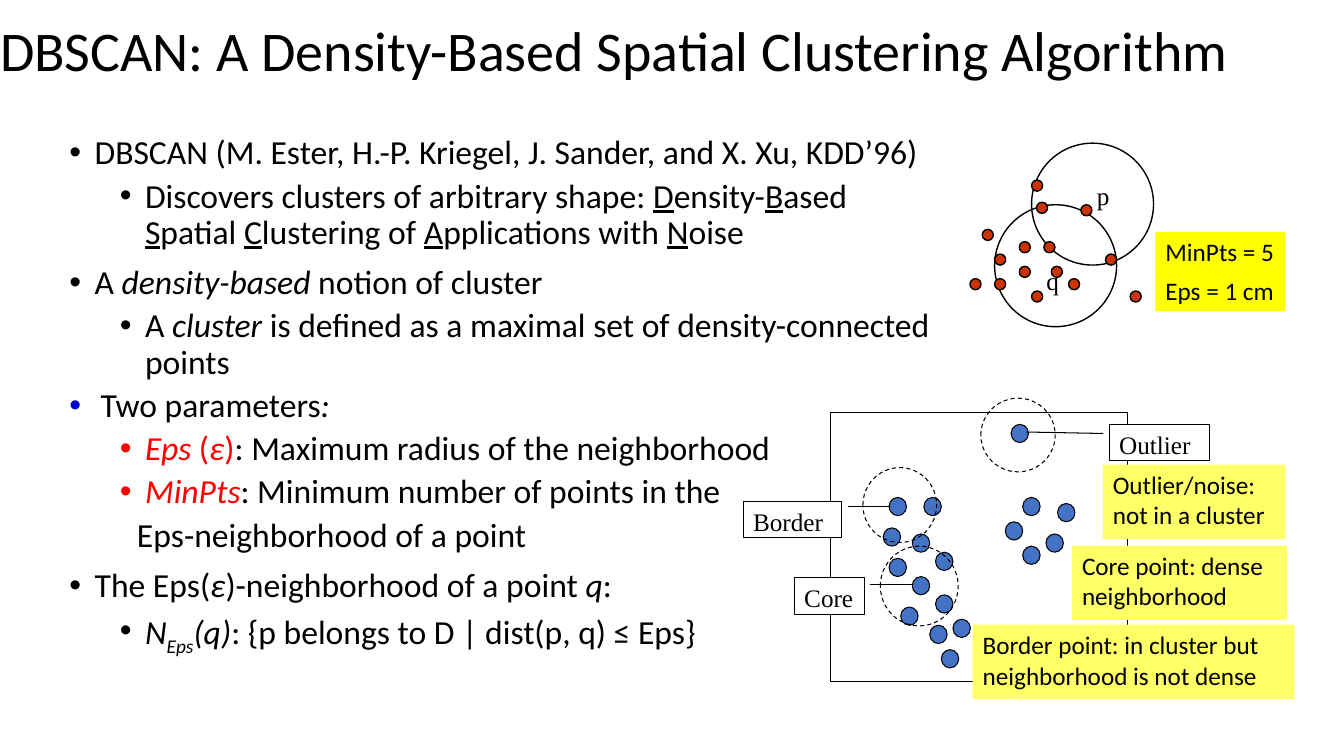
from dataclasses import dataclass
from typing import NamedTuple, Optional

from lxml.etree import SubElement
from pptx import Presentation
from pptx.dml.color import RGBColor
from pptx.enum.dml import MSO_LINE
from pptx.enum.shapes import MSO_SHAPE as Preset
from pptx.enum.text import MSO_ANCHOR as Anchor, MSO_AUTO_SIZE as AutoSize, PP_ALIGN as Align
from pptx.oxml.ns import qn
from pptx.util import Inches, Pt

BLACK = RGBColor(0x00, 0x00, 0x00)
WHITE = RGBColor(0xFF, 0xFF, 0xFF)
RED = RGBColor(0xFF, 0x00, 0x00)
BULLET_BLUE = RGBColor(0x00, 0x00, 0xCC)
DOT_RED = RGBColor(0xCC, 0x33, 0x00)
DOT_BLUE = RGBColor(0x44, 0x72, 0xC4)
YELLOW = RGBColor(0xFF, 0xFF, 0x00)
NOTE_YELLOW = RGBColor(0xFF, 0xFF, 0x66)
SANS, SERIF = "Calibri", "Times New Roman"
SLIDE_WIDTH, SLIDE_HEIGHT = Inches(13.33), Inches(7.5)


class Box(NamedTuple):
    """A rectangle counted in grid columns and rows."""
    column: float
    row: float
    width: float
    height: float


@dataclass(frozen=True)
class Grid:
    left: int
    top: int
    column: float
    row: float

    def place(self, box: Box) -> tuple:
        return (int(self.left + box.column * self.column), int(self.top + box.row * self.row),
                int(box.width * self.column), int(box.height * self.row))


PAGE = Grid(0, 0, SLIDE_WIDTH / 100, SLIDE_HEIGHT / 100)
REACH = Grid(Inches(9.62), Inches(1.42), Pt(8.8), Pt(8.8))
CLUSTER = Grid(Inches(8.76), Inches(4.21), Pt(4.15), Pt(4.35))


class Span(NamedTuple):
    """Text with marks: i italic, u underlined, r red, s subscript."""
    text: str
    marks: str = ""


@dataclass(frozen=True)
class Line:
    spans: tuple
    margin: float = 0.75
    hanging: float = 0.25
    before: float = 5
    bullet: bool = True
    bullet_color: Optional[RGBColor] = None


@dataclass(frozen=True)
class Label:
    box: Box
    text: str
    adjustments: tuple = ()


def topic(*spans: Span) -> Line:
    return Line(spans, margin=0.25, before=10)


BODY = (
    topic(Span("DBSCAN (M. Ester, H.-P. Kriegel, J. Sander, and X. Xu, KDD’96)")),
    Line((Span("Discovers clusters of arbitrary shape: "), Span("D", "u"), Span("ensity-"),
          Span("B", "u"), Span("ased "), Span("S", "u"), Span("patial "), Span("C", "u"),
          Span("lustering of "), Span("A", "u"), Span("pplications with "),
          Span("N", "u"), Span("oise"))),
    topic(Span("A "), Span("density-based", "i"), Span(" notion of cluster")),
    Line((Span("A "), Span("cluster", "i"),
          Span(" is defined as a maximal set of density-connected points"))),
    Line((Span("Two parameters"), Span(":", "i")), 0.31, 0.31, bullet_color=BULLET_BLUE),
    Line((Span("Eps ", "ir"), Span("(", "r"), Span("ε", "ir"), Span(")", "r"),
          Span(": Maximum radius of the neighborhood"))),
    Line((Span("MinPts", "ir"), Span(": Minimum number of points in the"))),
    Line((Span("Eps-neighborhood of a point"),), 0.67, 0, bullet=False),
    topic(Span("The Eps("), Span("ε", "i"), Span(")-neighborhood of a point "),
          Span("q", "i"), Span(":")),
    Line((Span("N", "i"), Span("Eps", "is"), Span("(q)", "i"),
          Span(": {p belongs to D | dist(p, q) ≤ Eps}"))),
)
REACH_DOTS = ((1, 7), (4, 8), (5.4, 4.8), (0, 11), (2, 9), (2, 11), (5, 12), (5, 3), (11, 9),
              (9, 5), (4, 10), (6, 8), (8, 11), (13, 12), (6.6, 10))
REACH_CIRCLES = (Box(5, 0, 9.9, 9.9), Box(2, 5, 9.9, 9.9))
POINT_NAMES = (Label(Box(9.5, 2.6, 3.4, 3.3), "p"), Label(Box(5.4, 9.5, 3.4, 3.3), "q"))
PARAMETERS = Label(Box(15.05, 7.2, 10.55, 6.45), "MinPts = 5\nEps = 1 cm")

CLUSTER_DOTS = ((1, 12), (0, 17), (5, 18), (7, 12), (9, 21), (1, 22), (5, 25), (3, 30), (8, 33),
                (10, 37), (9, 28), (22, 0), (24, 12), (21, 16), (28, 18), (30, 13), (24, 20),
                (12, 32))
FRAME = Box(-9, -2, 51, 44.2)
NEIGHBORHOODS = (Box(-3.5, 7.1, 12.7, 12.3), Box(-0.5, 20, 13.4, 13.1),
                 Box(16.8, -4.3, 12.8, 12.1))
CALLOUTS = (
    Label(Box(-15.3, 25.2, 12, 6), "Core", (0.19, 1.08, 0.19, 1.69)),
    Label(Box(-24.1, 12.6, 17, 6), "Border", (0.15, 1.06, 0.15, 1.49)),
    Label(Box(38.9, 0, 17.2, 6), "Outlier", (0.25, -0.06, 0.21, -0.83)),
)
NOTES = (
    Label(Box(15.4, 32.9, 55.4, 12.2), "Border point: in cluster but neighborhood is not dense"),
    Label(Box(37.8, 6.6, 31.4, 12.2), "Outlier/noise: not in a cluster"),
    Label(Box(32.5, 19.9, 37, 12.2), "Core point: dense neighborhood"),
)


def draw_shape(slide, preset: Preset, grid: Grid, box: Box, fill: Optional[RGBColor] = None,
               line_width: float = 0, dashed: bool = False):
    shape = slide.shapes.add_shape(preset, *grid.place(box))
    shape.shadow.inherit = False
    if fill is None:
        shape.fill.background()
    else:
        shape.fill.solid()
        shape.fill.fore_color.rgb = fill
    if line_width:
        shape.line.color.rgb = BLACK
        shape.line.width = Pt(line_width)
        if dashed:
            shape.line.dash_style = MSO_LINE.DASH
    else:
        shape.line.fill.background()
    return shape


def write_text(shape, text: str, font_name: str, size: float = 18, before: float = 0) -> None:
    frame = shape.text_frame
    frame.text = text
    frame.word_wrap = True
    frame.vertical_anchor = Anchor.TOP
    for paragraph in frame.paragraphs:
        paragraph.alignment = Align.LEFT
        paragraph.space_before = Pt(before)
        for run in paragraph.runs:
            run.font.name, run.font.size = font_name, Pt(size)
            run.font.color.rgb = BLACK


def add_bullet(paragraph, line: Line) -> None:
    properties = paragraph._p.get_or_add_pPr()
    properties.set("marL", str(Inches(line.margin)))
    properties.set("indent", str(-Inches(line.hanging)))
    if not line.bullet:
        SubElement(properties, qn("a:buNone"))
        return
    if line.bullet_color is not None:
        color = SubElement(properties, qn("a:buClr"))
        SubElement(color, qn("a:srgbClr")).set("val", str(line.bullet_color))
    SubElement(properties, qn("a:buFont")).set("typeface", "Arial")
    SubElement(properties, qn("a:buChar")).set("char", "•")


def draw_title(slide) -> None:
    title = slide.shapes.title
    title.left, title.top, title.width, title.height = PAGE.place(Box(-0.75, 0, 101.7, 14.1))
    write_text(title, "DBSCAN: A Density-Based Spatial Clustering Algorithm", SANS, 40)
    title.text_frame.vertical_anchor = Anchor.MIDDLE
    title.text_frame.auto_size = AutoSize.NONE
    title.text_frame.paragraphs[0].line_spacing = 0.9


def draw_body(slide) -> None:
    frame = slide.shapes.add_textbox(*PAGE.place(Box(4.43, 17.3, 66.4, 78.5))).text_frame
    frame.word_wrap = True
    for index, line in enumerate(BODY):
        paragraph = frame.add_paragraph() if index else frame.paragraphs[0]
        paragraph.line_spacing = 0.9
        paragraph.space_before = Pt(line.before)
        add_bullet(paragraph, line)
        for span in line.spans:
            run = paragraph.add_run()
            run.text = span.text
            run.font.name, run.font.size = SANS, Pt(24)
            run.font.italic = "i" in span.marks
            run.font.underline = "u" in span.marks
            run.font.color.rgb = RED if "r" in span.marks else BLACK
            if "s" in span.marks:
                run.font._element.set("baseline", "-25000")


def draw_reach(slide) -> None:
    write_text(draw_shape(slide, Preset.RECTANGLE, REACH, PARAMETERS.box, YELLOW),
               PARAMETERS.text, SANS, before=6)
    for circle in REACH_CIRCLES:
        draw_shape(slide, Preset.OVAL, REACH, circle, line_width=1)
    for column, row in REACH_DOTS:
        draw_shape(slide, Preset.OVAL, REACH, Box(column, row, 0.9, 0.9), DOT_RED, 1)
    for name in POINT_NAMES:
        write_text(slide.shapes.add_textbox(*REACH.place(name.box)), name.text, SERIF)


def draw_clusters(slide) -> None:
    for column, row in CLUSTER_DOTS:
        draw_shape(slide, Preset.OVAL, CLUSTER, Box(column, row, 3, 3), DOT_BLUE, 0.75)
    draw_shape(slide, Preset.RECTANGLE, CLUSTER, FRAME, line_width=0.75)
    for circle in NEIGHBORHOODS:
        draw_shape(slide, Preset.OVAL, CLUSTER, circle, line_width=0.75, dashed=True)
    for callout in CALLOUTS:
        shape = draw_shape(slide, Preset.LINE_CALLOUT_1, CLUSTER, callout.box, WHITE, 0.75)
        for index, value in enumerate(callout.adjustments):
            shape.adjustments[index] = value
        write_text(shape, callout.text, SERIF)
    for note in NOTES:
        write_text(draw_shape(slide, Preset.RECTANGLE, CLUSTER, note.box, NOTE_YELLOW),
                   note.text, SANS)


def main() -> None:
    presentation = Presentation()
    presentation.slide_width, presentation.slide_height = SLIDE_WIDTH, SLIDE_HEIGHT
    slide = presentation.slides.add_slide(presentation.slide_layouts.get_by_name("Title Only"))
    for draw in (draw_title, draw_body, draw_reach, draw_clusters):
        draw(slide)
    presentation.save("out.pptx")


if __name__ == "__main__":
    main()
